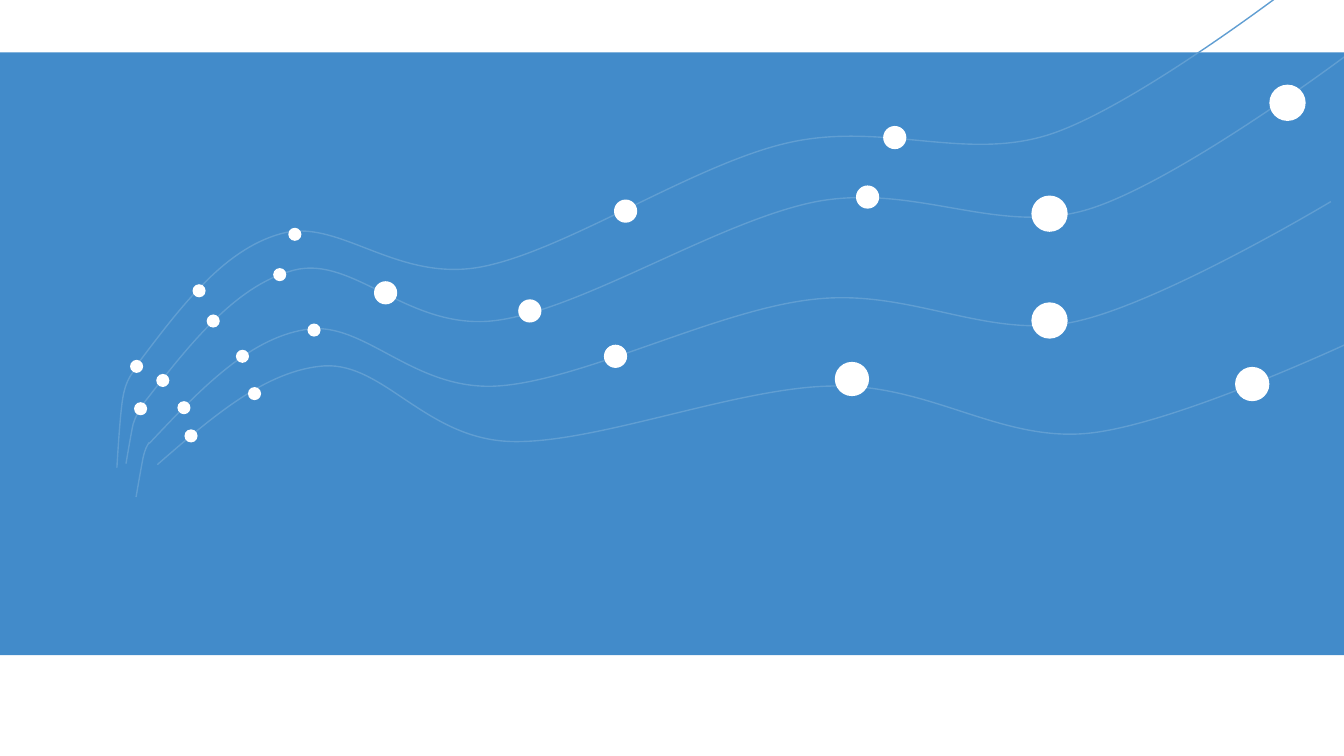
from lxml import etree
from pptx import Presentation
from pptx import util as u
from pptx.dml.color import RGBColor
from pptx.enum import shapes as kinds
from pptx.oxml.ns import qn

SIZE = (13.33, 7.5)
BAND = (-0.06, 0.52, 13.43, 5.98)

WAVES = [
    [(1.56, 4.61), (2.1, 4.14), (2.64, 3.67), (3.22, 3.63),
     (3.81, 3.6), (4.22, 4.35), (5.06, 4.38),
     (5.9, 4.41), (7.31, 3.84), (8.26, 3.83),
     (9.22, 3.81), (9.91, 4.38), (10.78, 4.3),
     (11.65, 4.22), (13.47, 3.36), (13.47, 3.36)],
    [(1.38, 4.06), (1.86, 3.44), (2.33, 2.83), (2.92, 2.68),
     (3.51, 2.53), (4.06, 3.29), (4.92, 3.18),
     (5.78, 3.07), (7.13, 2.19), (8.1, 2),
     (9.08, 1.82), (9.88, 2.33), (10.75, 2.09),
     (11.62, 1.85), (13.34, 0.56), (13.34, 0.56)],
    [(1.48, 4.4), (1.97, 3.88), (2.46, 3.36), (3.03, 3.27),
     (3.61, 3.17), (4.09, 3.88), (4.93, 3.83),
     (5.77, 3.78), (7.12, 3.07), (8.07, 2.97),
     (9.02, 2.86), (9.76, 3.36), (10.62, 3.2),
     (11.47, 3.04), (13.2, 2), (13.2, 2)],
    [(1.35, 3.63), (1.78, 3.06), (2.21, 2.48), (2.78, 2.32),
     (3.35, 2.15), (3.92, 2.8), (4.76, 2.65),
     (5.59, 2.5), (6.86, 1.64), (7.8, 1.42),
     (8.74, 1.2), (9.55, 1.6), (10.39, 1.34),
     (11.23, 1.08), (12.84, -0.16), (12.84, -0.16)],
]
TAILS = [
    [(1.36, 3.64), (1.31, 3.7), (1.25, 3.77), (1.22, 3.94),
     (1.19, 4.1), (1.16, 4.64), (1.16, 4.64)],
    [(1.39, 4.06), (1.37, 4.09), (1.35, 4.12), (1.32, 4.21),
     (1.3, 4.3), (1.25, 4.6), (1.25, 4.6)],
    [(1.48, 4.39), (1.46, 4.42), (1.44, 4.45), (1.42, 4.54),
     (1.4, 4.64), (1.35, 4.93), (1.35, 4.93)],
]
DOTS = {
    0.13: [(2.86, 2.26), (2.71, 2.66), (2.34, 3.47), (1.91, 2.82),
           (2.05, 3.12), (1.76, 3.98), (2.46, 3.84), (3.05, 3.21),
           (1.55, 3.71), (1.83, 4.26), (1.29, 3.57), (1.33, 3.99)],
    0.23: [(6.09, 1.98), (8.76, 1.25), (8.49, 1.84), (5.14, 2.97),
           (3.71, 2.79), (5.99, 3.42)],
    0.34: [(12.25, 3.64), (8.28, 3.59)],
    0.36: [(10.23, 3), (10.23, 1.94), (12.59, 0.84)],
}


class Theme:
    band = RGBColor.from_string("428BCA")
    wave = RGBColor.from_string("609ED2")
    dot = RGBColor.from_string("FFFFFF")
    line = u.Pt(1)


def solid(page, kind, box, color):
    shape = page.shapes.add_shape(kind, *map(u.Inches, box))
    shape.shadow.inherit = False
    shape.fill.solid()
    shape.fill.fore_color.rgb = color
    shape.line.fill.background()


def curve(host, points):
    start, *rest = [(u.Inches(x), u.Inches(y)) for x, y in points]
    pen = host.shapes.build_freeform(*start)
    pen.add_line_segments(rest, close=False)
    shape = pen.convert_to_shape()
    shape.shadow.inherit = False
    shape.fill.background()
    shape.line.color.rgb = Theme.wave
    shape.line.width = Theme.line
    route = shape.element.find(".//" + qn("a:path"))
    steps = route.findall(qn("a:lnTo"))
    for i in range(0, len(steps), 3):
        bend = etree.SubElement(route, qn("a:cubicBezTo"))
        for step in steps[i:i + 3]:
            bend.append(step[0])
            route.remove(step)


def main():
    deck = Presentation()
    deck.slide_width, deck.slide_height = map(u.Inches, SIZE)
    page = deck.slides.add_slide(deck.slide_layouts[6])
    solid(page, kinds.MSO_SHAPE.RECTANGLE, BAND, Theme.band)
    group = page.shapes.add_group_shape()
    for wave in WAVES:
        curve(group, wave)
    for tail in TAILS:
        curve(page, tail)
    for size, spots in DOTS.items():
        for x, y in spots:
            solid(page, kinds.MSO_SHAPE.OVAL, (x, y, size, size), Theme.dot)
    deck.save("out.pptx")


if __name__ == "__main__":
    main()
